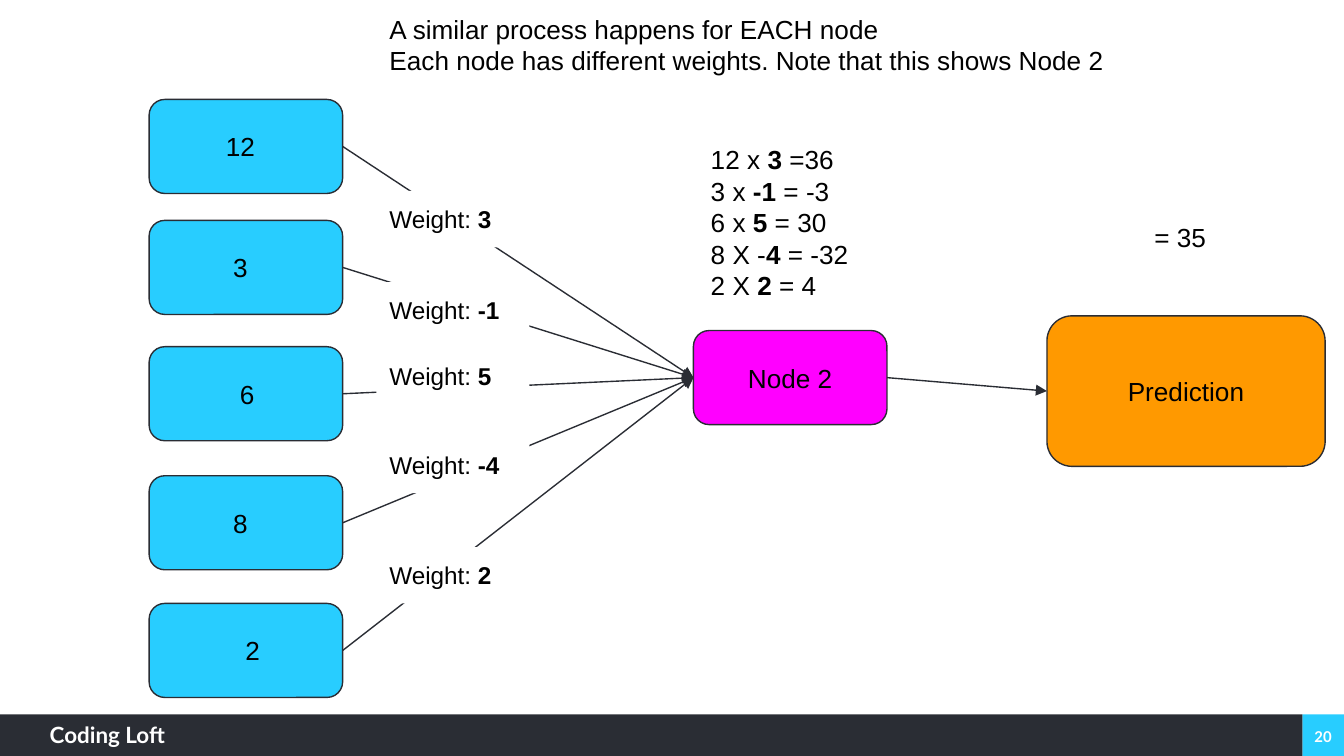
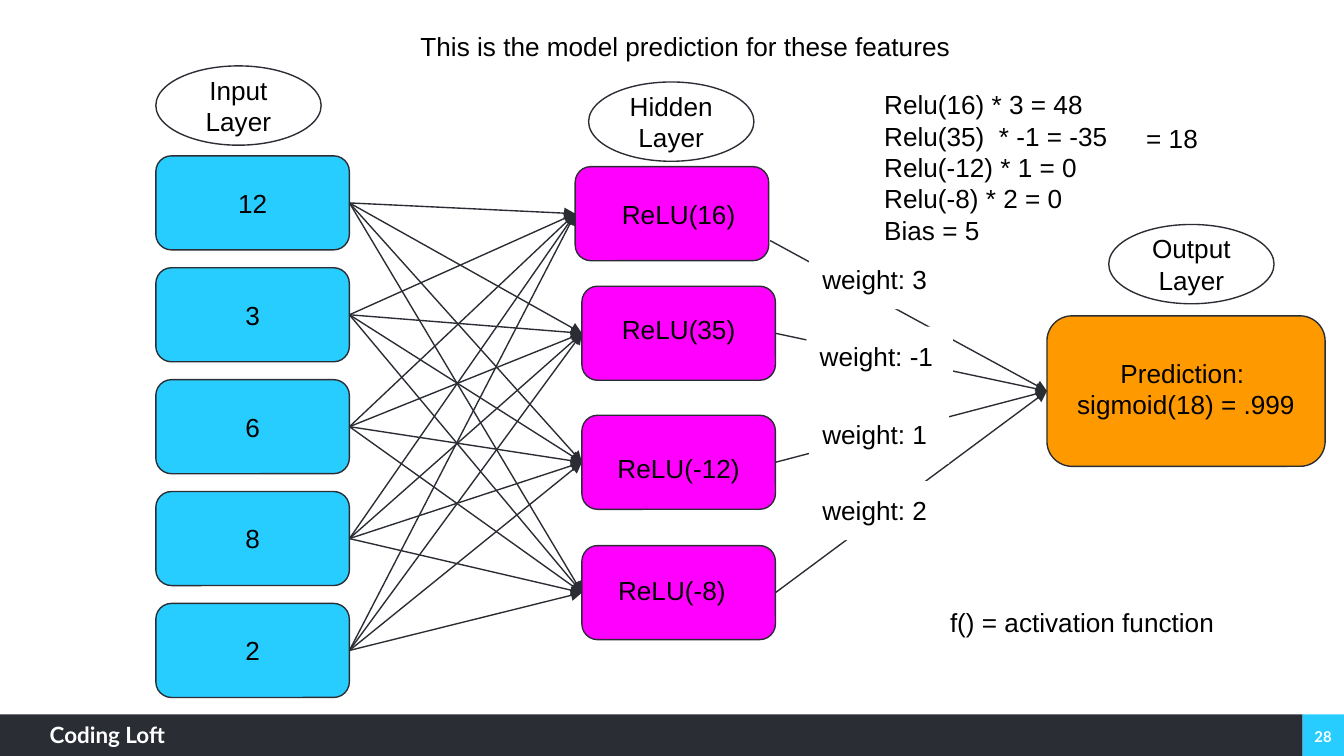
import pptx
import pptx.dml.color
import pptx.enum.shapes
import pptx.enum.text
import pptx.oxml.ns
import pptx.util
import lxml.etree

RGBColor = pptx.dml.color.RGBColor
Inches = pptx.util.Inches
Shapes = pptx.enum.shapes.MSO_SHAPE
Align = pptx.enum.text.PP_ALIGN
Anchor = pptx.enum.text.MSO_ANCHOR

CYAN = RGBColor(0x28, 0xCD, 0xFF)
DARK = RGBColor(0x2A, 0x2D, 0x34)
MAGENTA = RGBColor(0xFF, 0x00, 0xFF)
ORANGE = RGBColor(0xFF, 0x99, 0x00)
WHITE = RGBColor(0xFF, 0xFF, 0xFF)
BLACK = RGBColor(0x00, 0x00, 0x00)

WIDTH = 10
HEIGHT = WIDTH * 9 / 16
FOOTER = 0.31
BRAND = "Coding Loft"
NODE = (1.44, 0.7)
OVAL = (1.23, 0.59)
PREDICTION = (7.79, 2.35, 2.07, 1.12)
PAD = 0.1
LEFT_SIDE, RIGHT_SIDE = 1, 3

FEATURES = ["12", "3", "6", "8", "2"]

NODE_PAGE = {
    "number": "20",
    "input_left": 1.11,
    "input_tops": [0.74, 1.64, 2.58, 3.54, 4.49],
    "input_nudges": [(-0.04, 0), (-0.04, 0), (0.01, 0), (-0.04, 0), (0.05, 0)],
    "hidden": [("Node 2", 5.16, 2.46, (0, 0), None)],
    "prediction": ["Prediction"],
    "prediction_nudge": (0, 0),
    "ovals": [],
    "weight_size": 13,
    "weights": [
        ("Weight: |3", 2.8, 1.42, 1.24, 0.42),
        ("Weight: |-1", 2.8, 2.1, 1.14, 0.42),
        ("Weight: |5", 2.8, 2.59, 1.14, 0.42),
        ("Weight:| -4", 2.8, 3.25, 1.14, 0.42),
        ("Weight: |2", 2.8, 4.07, 1.24, 0.42),
    ],
    "notes": [
        (["A similar process happens for EACH node",
          "Each node has different weights. Note that this shows Node 2"],
         (2.8, 0, 5.73, 0.67)),
        (["12 x |3 |=36", "3 x |-1| = -3", "6 x |5| = 30",
          "8 X -|4| = -32", "2 X |2| = 4"], (5.19, 0.97, 1.44, 1.38)),
        (["= 35"], (8.49, 1.55, 0.69, 0.44)),
    ],
}

MODEL_PAGE = {
    "number": "28",
    "input_left": 1.16,
    "input_tops": [1.16 + row * (4.49 - 1.16) / 4 for row in range(5)],
    "input_nudges": [(0, 0)] * 5,
    "hidden": [
        ("ReLU(16)", 4.28, 1.24, (0.05, 0), (5.73, 1.79)),
        ("ReLU(35)", 4.33, 2.13, (0, -0.03), None),
        ("ReLU(-12)", 4.33, 3.09, (0, 0.04), None),
        ("ReLU(-8)", 4.33, 4.06, (-0.05, -0.02), None),
    ],
    "prediction": ["Prediction: ", "sigmoid(18) = .999"],
    "prediction_nudge": (0, -0.02),
    "ovals": [("Input Layer", 1.16, 0.49), ("Hidden Layer", 4.38, 0.61),
              ("Output Layer", 8.25, 1.67)],
    "weight_size": 14,
    "weights": [
        ("weight: 3", 6.02, 1.86, 1.27, 0.44),
        ("weight: -1", 6, 2.43, 1.09, 0.44),
        ("weight: 1", 6.02, 3.01, 1.04, 0.44),
        ("weight: 2", 6.02, 3.58, 1.27, 0.44),
    ],
    "notes": [
        (["This is the model prediction for these features"],
         (3.03, 0.13, 4.85, 0.67)),
        (["Relu(16) * 3 = 48", "Relu(35)  * -1 = -35", "Relu(-12) * 1 = 0",
          "Relu(-8) * 2 = 0", "Bias = 5"], (6.48, 0.56, 2.02, 1.38)),
        (["= 18"], (8.43, 0.81, 0.65, 0.44)),
        (["f() = activation function"], (6.97, 4.41, 2.18, 0.44)),
    ],
}


def write(shape, lines, size=14, font="Arial", color=BLACK, bold=False,
          align=Align.LEFT, anchor=Anchor.TOP, margins=(PAD,) * 4):
    frame = shape.text_frame
    frame.word_wrap = True
    frame.vertical_anchor = anchor
    (frame.margin_left, frame.margin_top,
     frame.margin_right, frame.margin_bottom) = map(Inches, margins)
    for index, line in enumerate(lines):
        paragraph = frame.add_paragraph() if index else frame.paragraphs[0]
        paragraph.alignment = align
        for part, text in enumerate(line.split("|")):
            run = paragraph.add_run()
            run.text = text
            run.font.size = pptx.util.Pt(size)
            run.font.name = font
            run.font.color.rgb = color
            run.font.bold = bold or part % 2 == 1


def add_block(slide, kind, box, fill, outlined=True):
    shape = slide.shapes.add_shape(kind, *map(Inches, box))
    shape.shadow.inherit = False
    shape.fill.solid()
    shape.fill.fore_color.rgb = fill
    if outlined:
        shape.line.color.rgb = DARK
        shape.line.width = pptx.util.Pt(0.75)
    else:
        shape.line.fill.background()
    return shape


def add_node(slide, box, fill, lines, nudge):
    shape = add_block(slide, Shapes.ROUNDED_RECTANGLE, box, fill)
    across, down = nudge
    write(shape, lines, align=Align.CENTER, anchor=Anchor.MIDDLE,
          margins=(PAD + across, PAD + down, PAD - across, PAD - down))
    return shape


def add_arrow(slide, source, target, start=None):
    begin = map(Inches, start or (0, 0))
    arrow = slide.shapes.add_connector(
        pptx.enum.shapes.MSO_CONNECTOR.STRAIGHT, *begin, 0, 0)
    if start is None:
        arrow.begin_connect(source, RIGHT_SIDE)
    arrow.end_connect(target, LEFT_SIDE)
    arrow.line.color.rgb = DARK
    arrow.line.width = pptx.util.Pt(0.75)
    qn = pptx.oxml.ns.qn
    properties = arrow.element.spPr
    head = lxml.etree.SubElement(properties.find(qn("a:ln")), qn("a:tailEnd"))
    head.set("type", "triangle")
    lxml.etree.SubElement(properties, qn("a:effectLst"))


def add_footer(slide, number):
    top, split = HEIGHT - FOOTER, WIDTH - FOOTER
    corner = add_block(slide, Shapes.RECTANGLE, (split, top, FOOTER, FOOTER),
                       CYAN, outlined=False)
    write(corner, [number], 8, "Lato", WHITE, True, Align.CENTER,
          Anchor.MIDDLE, (0, 0.02, 0, 0))
    bar = add_block(slide, Shapes.RECTANGLE, (0, top, split, FOOTER),
                    DARK, outlined=False)
    write(bar, [BRAND], 12, "Lato", WHITE, True, margins=(0.37, 0.05, 0, 0))


def add_page(presentation, page):
    slide = presentation.slides.add_slide(presentation.slide_layouts[6])
    add_footer(slide, page["number"])
    inputs = [
        add_node(slide, (page["input_left"], top, *NODE), CYAN, [text], nudge)
        for text, top, nudge in zip(FEATURES, page["input_tops"],
                                    page["input_nudges"])]
    prediction = add_node(slide, PREDICTION, ORANGE, page["prediction"],
                          page["prediction_nudge"])
    for text, left, top, nudge, start in page["hidden"]:
        hidden = add_node(slide, (left, top, *NODE), MAGENTA, [text], nudge)
        for feature in inputs:
            add_arrow(slide, feature, hidden)
        add_arrow(slide, hidden, prediction, start)
    for text, left, top in page["ovals"]:
        oval = add_block(slide, Shapes.OVAL, (left, top, *OVAL), WHITE)
        write(oval, [text], align=Align.CENTER, anchor=Anchor.MIDDLE)
    for text, *box in page["weights"]:
        label = add_block(slide, Shapes.RECTANGLE, box, WHITE, outlined=False)
        write(label, [text], page["weight_size"])
    for lines, box in page["notes"]:
        write(slide.shapes.add_textbox(*map(Inches, box)), lines)


def main():
    presentation = pptx.Presentation()
    presentation.slide_width = Inches(WIDTH)
    presentation.slide_height = Inches(HEIGHT)
    for page in (NODE_PAGE, MODEL_PAGE):
        add_page(presentation, page)
    presentation.save("out.pptx")


if __name__ == "__main__":
    main()
